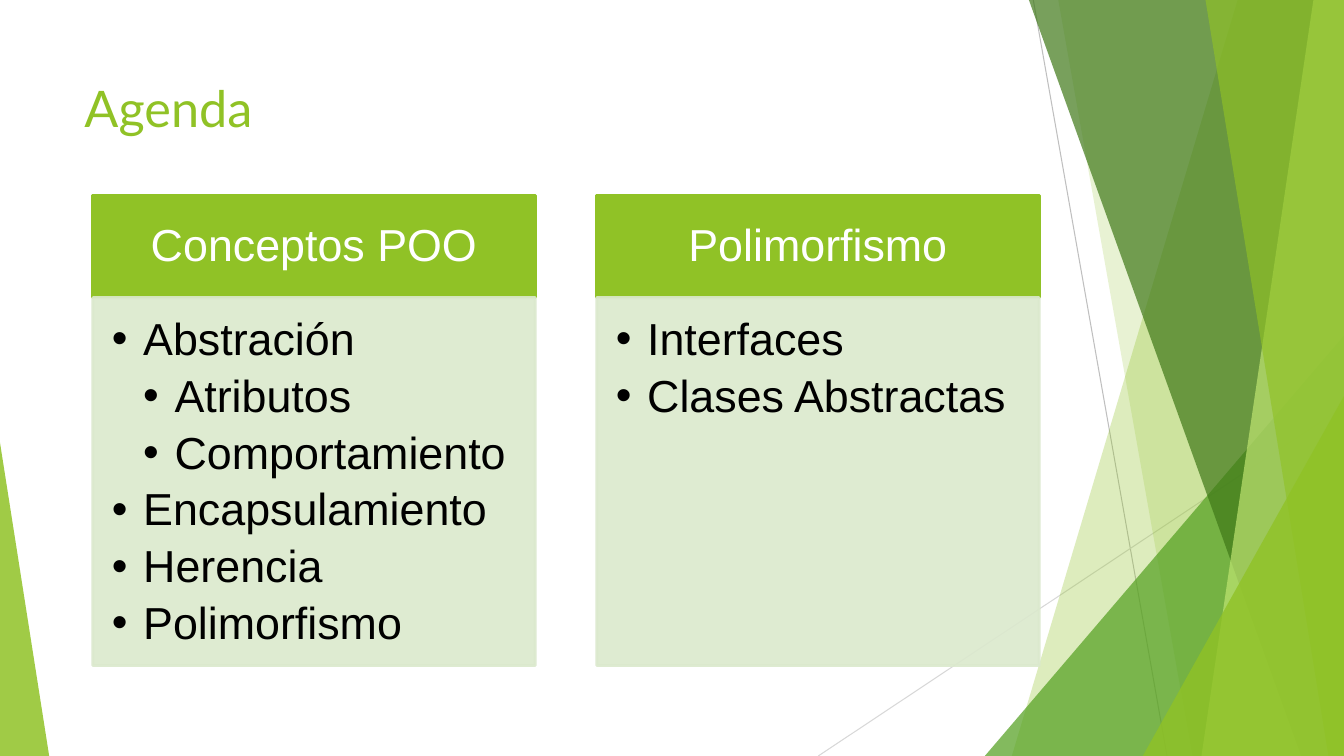
from lxml.etree import SubElement
from pptx import Presentation
from pptx.dml.color import RGBColor
from pptx.enum.shapes import MSO_CONNECTOR as Connector, MSO_SHAPE as Shape
from pptx.enum.text import MSO_ANCHOR as Anchor, PP_ALIGN as Align
from pptx.oxml.ns import qn
from pptx.util import Cm, Pt

COLOURS = {
    "lime": "90C226",
    "pale lime": "BFE471",
    "green": "54A021",
    "dark green": "3F7818",
    "mint": "DBE9CD",
    "grey": "BFBFBF",
    "light grey": "D8D8D8",
    "white": "FFFFFF",
    "black": "000000",
}
WIDTH, HEIGHT = 33.87, 19.05


def paint(shape, colour, opacity=100, outline=0):
    shape.shadow.inherit = False
    fills = [shape.fill]
    if outline:
        shape.line.width = Pt(outline)
        fills.append(shape.line.fill)
    else:
        shape.line.fill.background()
    for fill in fills:
        fill.solid()
        fill.fore_color.rgb = RGBColor.from_string(COLOURS[colour])
    if opacity < 100:
        for tint in shape.element.spPr.iter(qn("a:srgbClr")):
            SubElement(tint, qn("a:alpha"), val=str(opacity * 1000))


def write(box, lines, frame_format, para_format, font, colour):
    frame = box.text_frame
    for name, value in frame_format.items():
        setattr(frame, name, value)
    for number, (text, level) in enumerate(lines):
        para = frame.add_paragraph() if number else frame.paragraphs[0]
        for name, value in para_format.items():
            setattr(para, name, value)
        span = para.add_run()
        span.text = text
        for name, value in font.items():
            setattr(span.font, name, value)
        span.font.color.rgb = RGBColor.from_string(COLOURS[colour])
        if level:
            para.level = level
            properties = para._p.get_or_add_pPr()
            properties.set("marL", str(Cm(0.79 * level)))
            properties.set("indent", str(Cm(-0.79)))
            SubElement(properties, qn("a:buFont"), typeface="Arial")
            SubElement(properties, qn("a:buChar"), char="•")


deck = Presentation()
deck.slide_width, deck.slide_height = Cm(WIDTH), Cm(HEIGHT)
page = deck.slides.add_slide(deck.slide_layouts[6])

rays = [
    (26.04, 0, 29.41, HEIGHT, "grey"),
    (WIDTH, 10.24, 20.62, HEIGHT, "light grey"),
]
for *ends, colour in rays:
    ray = page.shapes.add_connector(Connector.STRAIGHT, *map(Cm, ends))
    ray.line.width = Pt(0.75)
    ray.line.color.rgb = RGBColor.from_string(COLOURS[colour])
    SubElement(ray.element.spPr, qn("a:effectLst"))

# Bands give top and bottom x; triangles give left, top, width, height, apex.
facets = [
    ("lime", 30, (31.19, 25.5)),
    ("lime", 20, (26.67, 30.05)),
    ("green", 72, (24.82, 8.46, 9.05, 10.59, 1)),
    ("dark green", 70, (25.93, 32.79)),
    ("pale lime", 70, (33.1, 30.28)),
    ("lime", 65, (30.38, 33.48)),
    ("lime", 80, (28.8, 9.98, 5.07, 9.07, 1)),
    ("lime", 85, (0, 11.15, 1.24, 7.9, 0)),
]
for colour, opacity, outline in facets:
    if len(outline) == 2:
        top, bottom = outline
        builder = page.shapes.build_freeform(Cm(top), 0)
        corners = [(WIDTH, 0), (WIDTH, HEIGHT), (bottom, HEIGHT)]
        builder.add_line_segments([(Cm(x), Cm(y)) for x, y in corners])
        facet = builder.convert_to_shape()
    else:
        *bounds, apex = outline
        facet = page.shapes.add_shape(Shape.ISOSCELES_TRIANGLE, *map(Cm, bounds))
        facet.adjustments[0] = apex
    paint(facet, colour, opacity)

title_frame = {
    "word_wrap": True,
    "vertical_anchor": Anchor.TOP,
    "margin_left": Cm(0.25),
    "margin_right": Cm(0.25),
    "margin_top": Cm(0.25),
    "margin_bottom": Cm(0.25),
}
header_frame = {
    "word_wrap": True,
    "vertical_anchor": Anchor.MIDDLE,
    "margin_left": Cm(0.64),
    "margin_right": Cm(0.64),
    "margin_top": Cm(0.36),
    "margin_bottom": Cm(0.36),
}
list_frame = {
    "word_wrap": True,
    "vertical_anchor": Anchor.TOP,
    "margin_left": Cm(0.48),
    "margin_right": Cm(0.64),
    "margin_top": Cm(0.48),
    "margin_bottom": Cm(0.71),
}
header_para = {"alignment": Align.CENTER, "line_spacing": 0.9}
list_para = {"alignment": Align.LEFT, "line_spacing": 0.9, "space_after": Pt(6)}
title_font = {"name": "Lato", "size": Pt(36)}
panel_font = {"name": "Arial", "size": Pt(32)}

title = page.shapes.add_textbox(Cm(1.88), Cm(1.7), Cm(23.88), Cm(3.66))
write(title, [("Agenda", 0)], title_frame, {"alignment": Align.LEFT}, title_font, "lime")

panels = [
    ("Conceptos POO", [
        ("Abstración", 1),
        ("Atributos", 2),
        ("Comportamiento", 2),
        ("Encapsulamiento", 1),
        ("Herencia", 1),
        ("Polimorfismo", 1),
    ]),
    ("Polimorfismo", [("Interfaces", 1), ("Clases Abstractas", 1)]),
]
for column, (heading, topics) in enumerate(panels):
    left = Cm(2.34 + 12.7 * column)
    header = page.shapes.add_shape(Shape.RECTANGLE, left, Cm(4.93), Cm(11.15), Cm(2.57))
    paint(header, "lime", outline=2)
    write(header, [(heading, 0)], header_frame, header_para, panel_font, "white")
    body = page.shapes.add_shape(Shape.RECTANGLE, left, Cm(7.5), Cm(11.15), Cm(9.27))
    paint(body, "mint", 90, outline=2)
    write(body, topics, list_frame, list_para, panel_font, "black")

deck.save("out.pptx")
